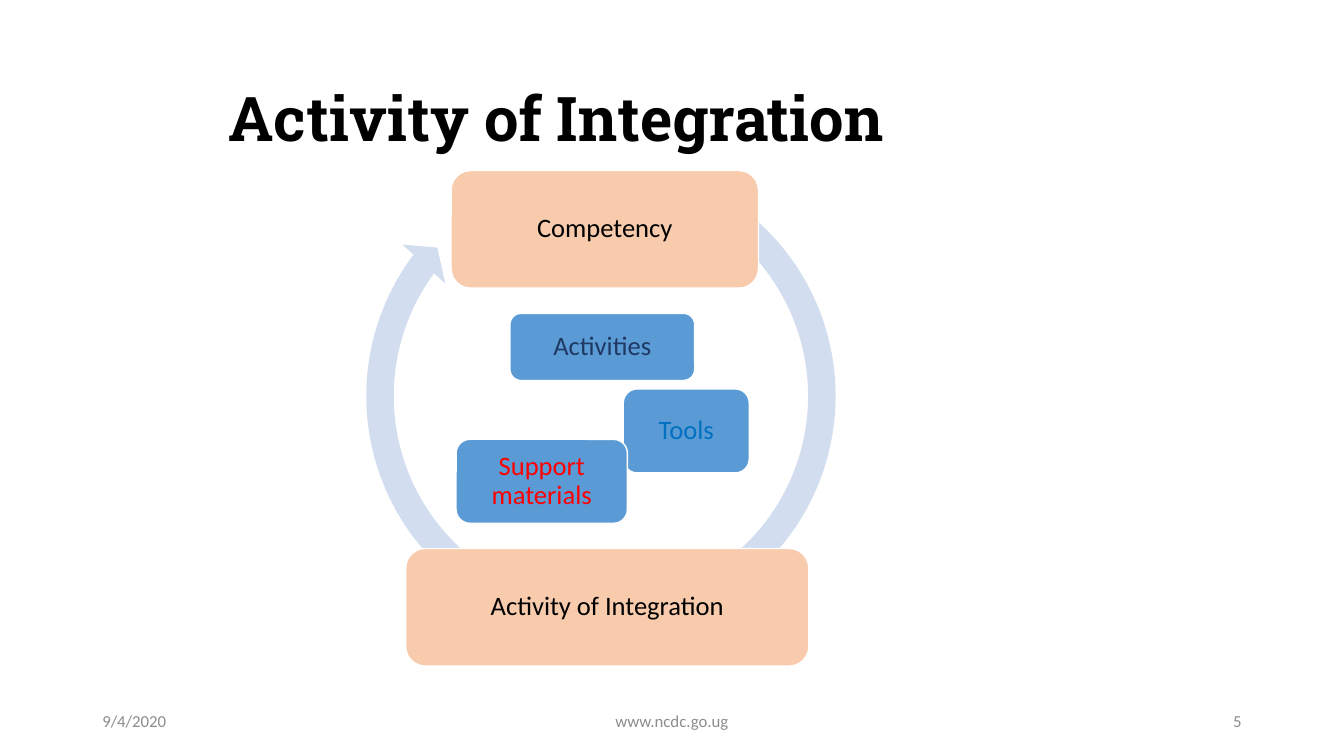
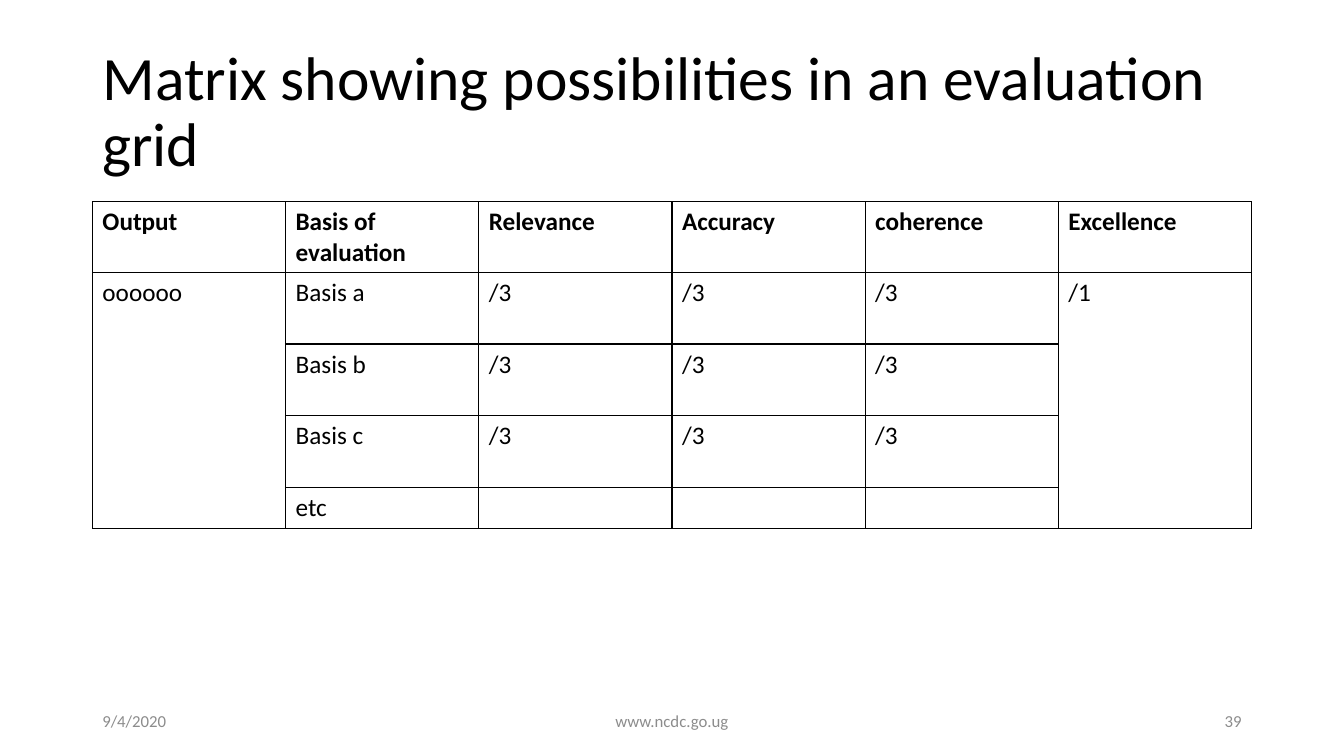
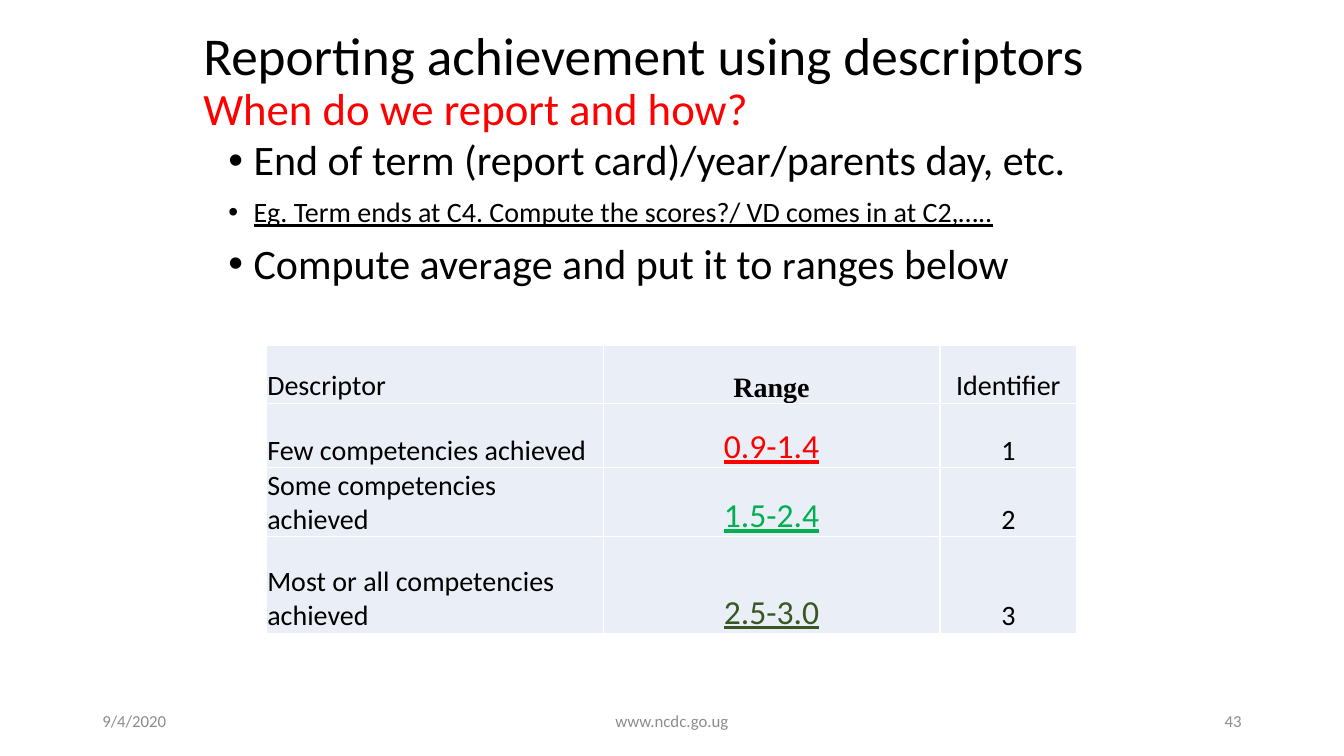
from dataclasses import dataclass

from lxml import etree
from pptx import Presentation
from pptx import util as u
from pptx.dml.color import RGBColor
from pptx.enum import shapes, text
from pptx.oxml import ns


@dataclass(frozen=True)
class Theme:
    body_font: str = "Calibri"
    slab_font: str = "Roboto Slab"
    serif_font: str = "Times New Roman"
    black: str = "000000"
    white: str = "FFFFFF"
    grey: str = "8C8C8C"
    red: str = "FF0000"
    green: str = "00B050"
    dark_green: str = "385723"
    navy: str = "203864"
    bright_blue: str = "0070C0"
    blue: str = "5B9BD5"
    pale_blue: str = "D2DEEF"
    ice: str = "EAEFF7"
    peach: str = "F8CBAD"
    title: int = 44
    long_title: int = 38
    subtitle: int = 32
    bullet: int = 30
    bullet_letter: int = 28
    score: int = 24
    descriptor: int = 20
    step: int = 19
    matrix: int = 18
    footer: int = 12


theme = Theme()
deck = Presentation()
deck.slide_width, deck.slide_height = u.Inches(13.333), u.Inches(7.5)
unit = deck.slide_width / 160  # the slide is a grid of 160 columns and 90 rows
LEFT, CENTER, RIGHT = text.PP_ALIGN.LEFT, text.PP_ALIGN.CENTER, text.PP_ALIGN.RIGHT
MIDDLE, BOTTOM = text.MSO_ANCHOR.MIDDLE, text.MSO_ANCHOR.BOTTOM


def grid(*cells):
    """Turn grid columns and rows into lengths."""
    return [u.Emu(round(cell * unit)) for cell in cells]


def write(paragraph, words, size, color=theme.black, font=theme.body_font,
          bold=False, underline=False):
    run = paragraph.add_run()
    run.text = words
    run.font.size = u.Pt(size)
    run.font.name = font
    run.font.bold = bold
    run.font.underline = underline
    run.font.color.rgb = RGBColor.from_string(color)


# Titles and footers
pages = []
for number, place in (("5", (26, 7, 108, 15)),
                      ("39", (11, 4.8, 138, 17.4)),
                      ("43", (23, 1, 111, 17.6))):
    slide = deck.slides.add_slide(deck.slide_layouts[5])
    title = slide.shapes.title
    title.left, title.top, title.width, title.height = grid(*place)
    title.text_frame.auto_size = text.MSO_AUTO_SIZE.NONE
    title.text_frame.vertical_anchor = MIDDLE
    heading = title.text_frame.paragraphs[0]
    heading.alignment = LEFT
    heading.line_spacing = 0.9
    pages.append((slide, heading))

    for words, column, width, alignment in (("9/4/2020", 11, 36, LEFT),
                                            ("www.ncdc.go.ug", 53, 54, CENTER),
                                            (number, 113, 36, RIGHT)):
        footer = slide.shapes.add_textbox(*grid(column, 83.4, width, 4.8)).text_frame
        footer.word_wrap = True
        footer.vertical_anchor = MIDDLE
        footer.paragraphs[0].alignment = alignment
        write(footer.paragraphs[0], words, theme.footer, theme.grey)

(cycle, cycle_title), (evaluation, evaluation_title), (report, report_title) = pages

# Cycle of integration
write(cycle_title, "Activity of Integration", theme.title, font=theme.slab_font, bold=True)

loop = cycle.shapes.add_shape(shapes.MSO_SHAPE.CIRCULAR_ARROW, *grid(41.8, 17.4, 59.5, 59.5))
for index, value in enumerate((0.055, 3.31, 130.01, 178.78, 0.058)):
    loop.adjustments[index] = value
loop.shadow.inherit = False
loop.fill.solid()
loop.fill.fore_color.rgb = RGBColor.from_string(theme.pale_blue)
loop.line.fill.background()

for words, place, fill, color in (
    ("Competency", (53.7, 20.3, 36.6, 14), theme.peach, theme.black),
    ("Activities", (60.7, 37.3, 22, 8), theme.blue, theme.navy),
    ("Tools", (74.2, 46.3, 15, 10), theme.blue, theme.bright_blue),
    ("Support materials", (54.3, 52.3, 20.4, 10), theme.blue, theme.red),
    ("Activity of Integration", (48.3, 65.3, 48, 14), theme.peach, theme.black),
):
    step = cycle.shapes.add_shape(shapes.MSO_SHAPE.ROUNDED_RECTANGLE, *grid(*place))
    step.shadow.inherit = False
    step.fill.solid()
    step.fill.fore_color.rgb = RGBColor.from_string(fill)
    step.line.color.rgb = RGBColor.from_string(theme.white)
    step.line.width = u.Pt(1)
    label = step.text_frame
    label.word_wrap = True
    label.vertical_anchor = MIDDLE
    label.margin_left = label.margin_right = label.margin_top = label.margin_bottom = u.Inches(0.08)
    label.paragraphs[0].alignment = CENTER
    label.paragraphs[0].line_spacing = 0.9
    write(label.paragraphs[0], words, theme.step, color)

# Evaluation matrix
write(evaluation_title, "Matrix showing possibilities in an evaluation grid", theme.title)

matrix_rows = [
    ["Output", "Basis of evaluation", "Relevance", "Accuracy", "coherence", "Excellence"],
    ["oooooo", "Basis a", "/3", "/3", "/3", "/1"],
    ["", "Basis b", "/3", "/3", "/3", ""],
    ["", "Basis c", "/3", "/3", "/3", ""],
    ["", "etc", "", "", "", ""],
]
matrix = evaluation.shapes.add_table(5, 6, *grid(11, 24, 138, 38.8)).table
for row, height in zip(matrix.rows, grid(8.4, 8.55, 8.55, 8.55, 4.9)):
    row.height = height
for row_index, row in enumerate(matrix_rows):
    for column_index, words in enumerate(row):
        if words:
            write(matrix.cell(row_index, column_index).text_frame.paragraphs[0], words,
                  theme.matrix, bold=row_index == 0)
for column_index in (0, 5):
    matrix.cell(1, column_index).merge(matrix.cell(4, column_index))

# Reporting with descriptors
write(report_title, "Reporting achievement using descriptors", theme.long_title)
report_title.add_line_break()
write(report_title, "When do we report and how?", theme.subtitle, theme.red)

points = report.shapes.add_textbox(*grid(26, 16, 108, 59.4)).text_frame
points.word_wrap = True
for index, runs in enumerate((
    [("End of term (report card)/year/parents day, etc.", theme.bullet)],
    [("Eg. Term ends at C4. Compute the scores?/ VD comes in at C2,…..", theme.descriptor)],
    [("Compute ave", theme.bullet), ("r", theme.bullet_letter),
     ("age and put it to ", theme.bullet), ("r", theme.bullet_letter),
     ("anges below", theme.bullet)],
)):
    point = points.add_paragraph() if index else points.paragraphs[0]
    point.line_spacing = 0.9
    point.space_before = u.Pt(10 if index else 0)
    properties = point._p.get_or_add_pPr()
    properties.set("marL", str(u.Inches(0.25)))
    properties.set("indent", str(-u.Inches(0.25)))
    etree.SubElement(properties, ns.qn("a:buFont"), typeface="Arial")
    etree.SubElement(properties, ns.qn("a:buChar"), char="•")
    for words, size in runs:
        write(point, words, size, underline=size == theme.descriptor)

ranges = report.shapes.add_table(4, 3, *grid(31.7, 41.1, 96.4, 34.3)).table
for column, width in zip(ranges.columns, grid(40.1, 40.1, 16.3)):
    column.width = width
for row, height in zip(ranges.rows, grid(6.9, 7.7, 8.2, 11.5)):
    row.height = height
for row_index, (descriptor, score, identifier, color) in enumerate((
    ("Descriptor", "Range", "Identifier", theme.black),
    ("Few competencies achieved", "0.9-1.4", "1", theme.red),
    ("Some competencies achieved", "1.5-2.4", "2", theme.green),
    ("Most or all competencies achieved", "2.5-3.0", "3", theme.dark_green),
)):
    if row_index:
        score_style = dict(size=theme.score, color=color, underline=True)
    else:
        score_style = dict(size=theme.descriptor, font=theme.serif_font, bold=True)
    plain = dict(size=theme.descriptor)
    for column_index, (words, alignment, style) in enumerate((
        (descriptor, LEFT, plain), (score, CENTER, score_style), (identifier, CENTER, plain),
    )):
        cell = ranges.cell(row_index, column_index)
        cell.vertical_anchor = BOTTOM
        cell.margin_left = cell.margin_right = cell.margin_top = u.Inches(0.01)
        cell.margin_bottom = 0
        cell.text_frame.paragraphs[0].alignment = alignment
        write(cell.text_frame.paragraphs[0], words, **style)

# Fills and borders of both tables
for table, fill, border in ((matrix, None, theme.black), (ranges, theme.ice, theme.white)):
    table.first_row = table.horz_banding = False
    for cell in table.iter_cells():
        if fill:
            cell.fill.solid()
            cell.fill.fore_color.rgb = RGBColor.from_string(fill)
        else:
            cell.fill.background()
        properties = cell._tc.get_or_add_tcPr()
        for index, side in enumerate(("a:lnL", "a:lnR", "a:lnT", "a:lnB")):
            edge = etree.Element(ns.qn(side), w=str(u.Pt(1)))
            paint = etree.SubElement(edge, ns.qn("a:solidFill"))
            etree.SubElement(paint, ns.qn("a:srgbClr"), val=border)
            properties.insert(index, edge)

deck.save("out.pptx")
